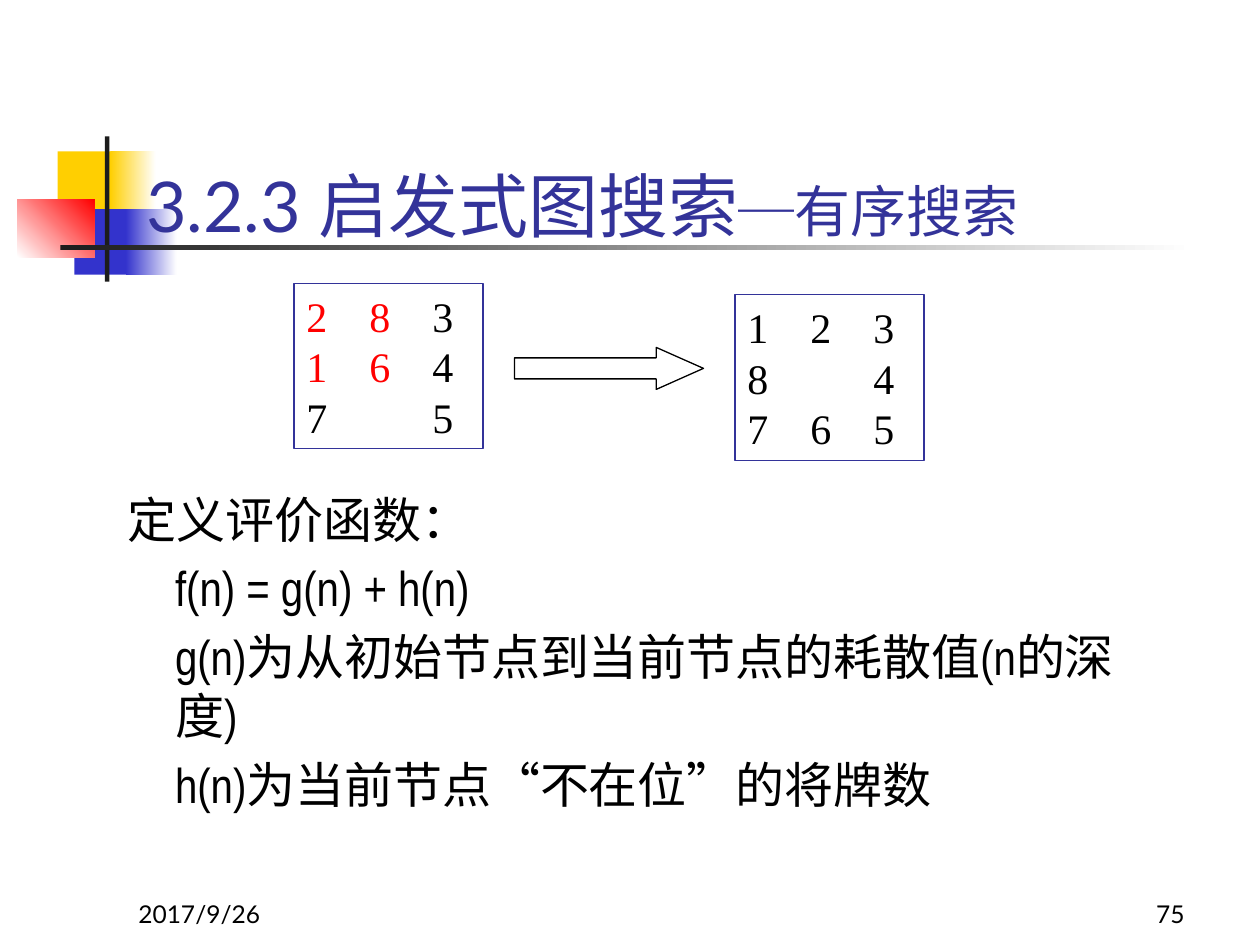
"""Build the slide on ordered heuristic graph search with the eight-puzzle example."""
from dataclasses import dataclass
from typing import NamedTuple, Optional

from lxml import etree
from pptx import Presentation
from pptx.dml.color import RGBColor
from pptx.enum.shapes import MSO_SHAPE
from pptx.enum.text import MSO_ANCHOR, PP_ALIGN
from pptx.oxml.ns import qn
from pptx.util import Pt

RECTANGLE = MSO_SHAPE.RECTANGLE
RIGHT_ARROW = MSO_SHAPE.RIGHT_ARROW
TOP, MIDDLE, BOTTOM = MSO_ANCHOR.TOP, MSO_ANCHOR.MIDDLE, MSO_ANCHOR.BOTTOM
LEFT, RIGHT = PP_ALIGN.LEFT, PP_ALIGN.RIGHT


@dataclass(frozen=True)
class Theme:
    yellow: str = "FFCF01"
    blue: str = "3333CC"
    red: str = "FF0000"
    dark: str = "1C1C1C"
    white: str = "FFFFFF"
    black: str = "000000"
    navy: str = "333399"
    heading_font: str = "Lato"
    body_font: str = "Arial Narrow"
    board_font: str = "Times New Roman"
    title_size: float = 40
    subtitle_size: float = 32
    body_size: float = 28
    board_size: float = 24
    footer_size: float = 14
    line_width: float = 0.75


class Box(NamedTuple):
    left: float
    top: float
    width: float
    height: float


class Ornament(NamedTuple):
    box: Box
    start: str
    end: Optional[str] = None
    angle: float = 0


class Board(NamedTuple):
    box: Box
    rows: tuple[str, ...]
    misplaced: str = ""


class Footer(NamedTuple):
    text: str
    left: float
    alignment: PP_ALIGN


THEME = Theme()
COLUMN_STEP = 36
BODY_INDENT = 27

ORNAMENTS = (
    Ornament(Box(33, 86.5, 34.5, 37.5), THEME.yellow),
    Ornament(Box(63, 86.5, 26, 37.5), THEME.yellow, THEME.white),
    Ornament(Box(42.5, 119.5, 33, 37.5), THEME.blue),
    Ornament(Box(72, 119.5, 29, 37.5), THEME.blue, THEME.white),
    Ornament(Box(10, 114, 44, 33), THEME.white, THEME.red, 45),
    Ornament(Box(60, 78, 2.5, 83), THEME.dark),
    Ornament(Box(34.5, 140.2, 648, 2.5), THEME.dark, THEME.white),
)
FOOTERS = (Footer("2017/9/26", 72, LEFT), Footer("75", 534, RIGHT))
BOARDS = (
    Board(Box(168, 162, 108, 94.5), ("283", "164", "7 5"), "2816"),
    Board(Box(420, 168.5, 108, 94.5), ("123", "8 4", "765")),
)
DEFINITIONS = (
    "f(n) = g(n) + h(n)",
    "g(n)为从初始节点到当前节点的耗散值(n的深度)",
    "h(n)为当前节点“不在位”的将牌数",
)


def add_box_shape(slide, kind, box: Box, line: Optional[str] = None):
    """Add an unfilled preset shape without shadow."""
    shape = slide.shapes.add_shape(kind, *map(Pt, box))
    shape.shadow.inherit = False
    shape.fill.background()
    if line:
        shape.line.color.rgb = RGBColor.from_string(line)
        shape.line.width = Pt(THEME.line_width)
    else:
        shape.line.fill.background()
    return shape


def add_ornament(slide, ornament: Ornament) -> None:
    """Add a solid or gradient rectangle of the title decoration."""
    fill = add_box_shape(slide, RECTANGLE, ornament.box).fill
    if ornament.end is None:
        fill.solid()
        fill.fore_color.rgb = RGBColor.from_string(ornament.start)
        return
    fill.gradient()
    fill.gradient_angle = ornament.angle
    for stop, color, position in zip(fill.gradient_stops, (ornament.start, ornament.end), (0, 1)):
        stop.color.rgb = RGBColor.from_string(color)
        stop.position = position


def add_text_frame(slide, box: Box, anchor: MSO_ANCHOR):
    """Add a wrapping text box and return its frame."""
    frame = slide.shapes.add_textbox(*map(Pt, box)).text_frame
    frame.word_wrap = True
    frame.vertical_anchor = anchor
    return frame


def add_run(paragraph, text: str, *, font: str, size: float, color: str = THEME.black) -> None:
    """Append formatted text to a paragraph."""
    run = paragraph.add_run()
    run.text = text
    run.font.name = font
    run.font.size = Pt(size)
    run.font.color.rgb = RGBColor.from_string(color)


def next_paragraph(frame, index: int):
    """Return the first paragraph or append another one."""
    return frame.add_paragraph() if index else frame.paragraphs[0]


def set_column_tabs(paragraph, count: int) -> None:
    """Give a paragraph evenly spaced left tab stops."""
    tabs = etree.SubElement(paragraph._p.get_or_add_pPr(), qn("a:tabLst"))
    for column in range(1, count):
        etree.SubElement(tabs, qn("a:tab"), pos=str(Pt(COLUMN_STEP * column)), algn="l")


def add_board(slide, board: Board) -> None:
    """Add an eight-puzzle board with its misplaced tiles in red."""
    frame = add_box_shape(slide, RECTANGLE, board.box, THEME.navy).text_frame
    frame.vertical_anchor = MIDDLE
    for index, row in enumerate(board.rows):
        paragraph = next_paragraph(frame, index)
        paragraph.alignment = LEFT
        set_column_tabs(paragraph, len(row))
        for column, tile in enumerate(row):
            color = THEME.red if tile in board.misplaced else THEME.black
            text = ("\t" if column else "") + tile.strip()
            add_run(paragraph, text, font=THEME.board_font, size=THEME.board_size, color=color)


def add_title(slide) -> None:
    """Add the section heading with its smaller second part."""
    paragraph = add_text_frame(slide, Box(76.5, 54.5, 613.5, 90), BOTTOM).paragraphs[0]
    for text, size in (("3.2.3 启发式图搜索", THEME.title_size), ("─有序搜索", THEME.subtitle_size)):
        add_run(paragraph, text, font=THEME.heading_font, size=size, color=THEME.navy)


def add_body(slide) -> None:
    """Add the definition of the evaluation function."""
    frame = add_text_frame(slide, Box(66, 276, 612, 240), TOP)
    for index, text in enumerate(("定义评价函数：", *DEFINITIONS)):
        paragraph = next_paragraph(frame, index)
        paragraph.space_before = Pt(THEME.body_size * 0.2)
        paragraph._p.get_or_add_pPr().set("marL", str(Pt(BODY_INDENT if index else 0)))
        add_run(paragraph, text, font=THEME.body_font, size=THEME.body_size)


def main() -> None:
    """Build and save the slide."""
    presentation = Presentation()
    presentation.slide_width, presentation.slide_height = Pt(720), Pt(540)
    slide = presentation.slides.add_slide(presentation.slide_layouts[6])
    for ornament in ORNAMENTS:
        add_ornament(slide, ornament)
    for footer in FOOTERS:
        paragraph = add_text_frame(slide, Box(footer.left, 498, 150, 36), BOTTOM).paragraphs[0]
        paragraph.alignment = footer.alignment
        add_run(paragraph, footer.text, font=THEME.heading_font, size=THEME.footer_size)
    add_title(slide)
    add_body(slide)
    for board in BOARDS:
        add_board(slide, board)
    arrow = add_box_shape(slide, RIGHT_ARROW, Box(294, 198.5, 108, 24), THEME.black)
    arrow.adjustments[0], arrow.adjustments[1] = 0.5, 1.125
    presentation.save("out.pptx")


if __name__ == "__main__":
    main()
